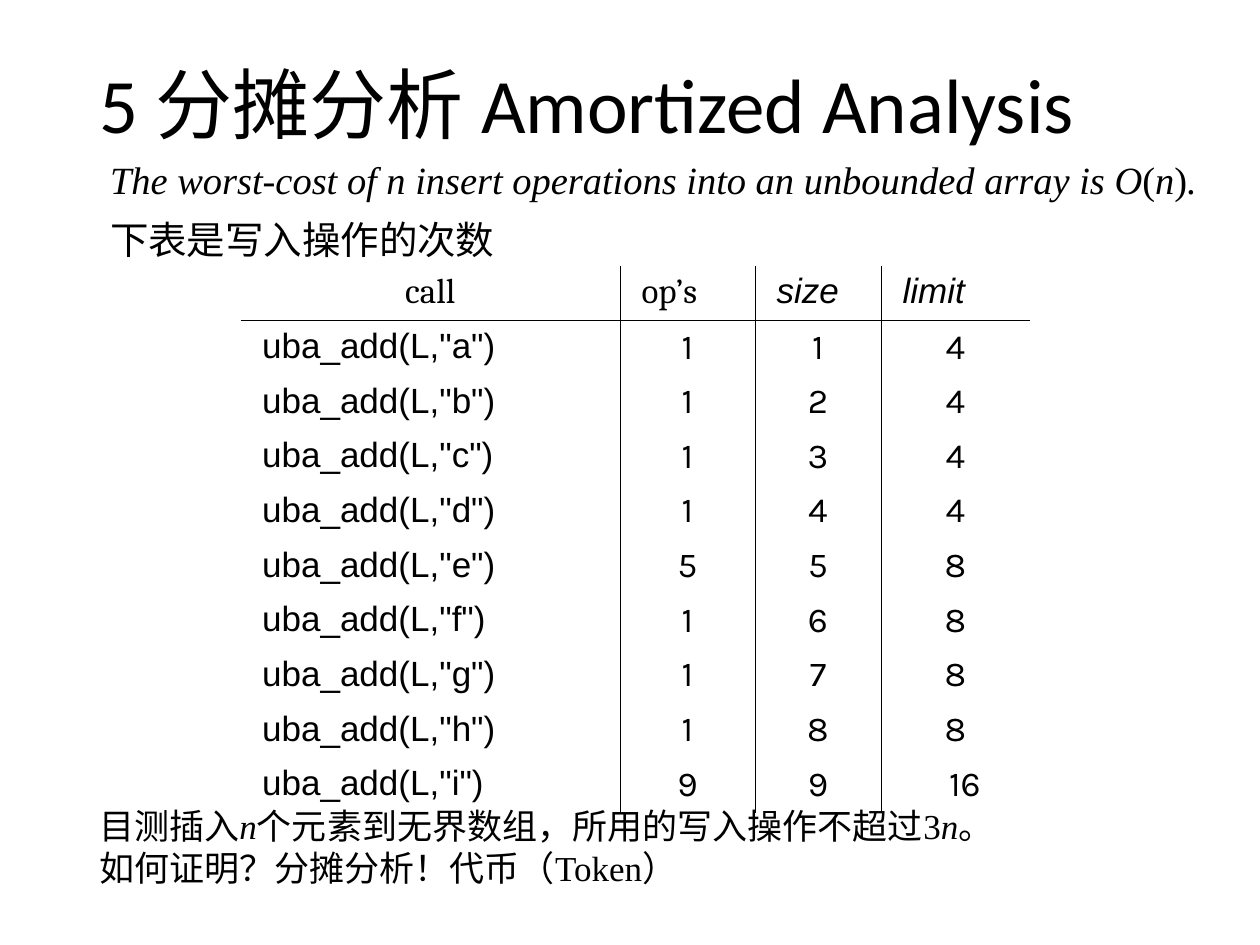
from lxml import etree
from pptx import Presentation
from pptx.dml.color import RGBColor
from pptx.enum.text import MSO_ANCHOR, PP_ALIGN
from pptx.oxml.ns import qn
from pptx.util import Cm, Pt

COLORS = {"ink": "000000", "paper": "FFFFFF"}
NO_STYLE = "{2D5ABB26-0587-4C30-8999-92F81FD0307C}"
SERIF = {"name": "Times New Roman", "size": Pt(20)}
ITALIC = {**SERIF, "italic": True}
LEAD = {"name": "Times New Roman", "size": Pt(22)}
LEAD_ITALIC = {**LEAD, "italic": True}
CAMBRIA = {"name": "Cambria", "size": Pt(20)}
ARIAL = {"name": "Arial", "size": Pt(20)}
KARLA = {"name": "Karla", "size": Pt(20)}
HEADERS = [
    ("call", CAMBRIA),
    ("op’s", CAMBRIA),
    ("size", {**ARIAL, "italic": True}),
    ("limit", {**ARIAL, "italic": True}),
]
COSTS = [("a", 1, 4), ("b", 1, 4), ("c", 1, 4), ("d", 1, 4), ("e", 5, 8),
         ("f", 1, 8), ("g", 1, 8), ("h", 1, 8), ("i", 9, 16)]


def add_run(p, text, fmt):
    """Append a run and apply its font values."""
    r = p.add_run()
    r.text = text
    for key, value in fmt.items():
        setattr(r.font, key, value)
    r.font.color.rgb = RGBColor.from_string(COLORS["ink"])


def indent(p, left):
    """Indent every line of a paragraph by the same length."""
    pPr = p._p.get_or_add_pPr()
    pPr.set("marL", str(left))
    pPr.set("indent", "0")


def add_text(s, box, paragraphs, left=0, gap=0, anchor=MSO_ANCHOR.TOP, spacing=None):
    """Place a wrapped text box holding paragraphs of formatted runs."""
    tf = s.shapes.add_textbox(*box).text_frame
    tf.word_wrap = True
    tf.vertical_anchor = anchor
    for i, runs in enumerate(paragraphs):
        p = tf.add_paragraph() if i else tf.paragraphs[0]
        indent(p, left)
        p.line_spacing = spacing
        if i:
            p.space_before = Pt(gap)
        for text, fmt in runs:
            add_run(p, text, fmt)


def add_title(s, box):
    """Place the slide title."""
    title = ("5 分摊分析 Amortized Analysis", {"name": "Calibri", "size": Pt(44)})
    add_text(s, box, [[title]], anchor=MSO_ANCHOR.MIDDLE, spacing=0.9)


def add_claim(s, box):
    """Place the cost claim and the lead-in to the table."""
    claim = [
        ("The worst-cost of n insert operations into an unbounded array is O", LEAD_ITALIC),
        ("(", LEAD), ("n", LEAD_ITALIC), (")", LEAD), (".", LEAD_ITALIC),
    ]
    lead_in = [("下表是写入操作的次数", {**LEAD, "name": "Cambria"})]
    add_text(s, box, [claim, lead_in], left=Cm(1), gap=8)


def add_conclusion(s, box):
    """Place the closing remark under the table."""
    bound = [
        ("目测插入", SERIF), ("n", ITALIC),
        ("个元素到无界数组，所用的写入操作不超过3", SERIF),
        ("n", ITALIC), ("。", SERIF),
    ]
    add_text(s, box, [bound, [("如何证明？分摊分析！代币（Token）", SERIF)]])


def set_borders(cell, drawn):
    """Draw hairlines on the named sides and clear the others."""
    tcPr = cell._tc.get_or_add_tcPr()
    for i, side in enumerate(("lnL", "lnR", "lnT", "lnB")):
        ln = etree.Element(qn(f"a:{side}"), w=str(Pt(0.17)))
        if side in drawn:
            fill = etree.SubElement(ln, qn("a:solidFill"))
            etree.SubElement(fill, qn("a:srgbClr"), val=COLORS["ink"])
        else:
            etree.SubElement(ln, qn("a:noFill"))
        tcPr.insert(i, ln)


def add_cost_table(s, box, widths, row_height):
    """Place the table of write counts for each call."""
    rows = [HEADERS]
    for size, (letter, ops, limit) in enumerate(COSTS, 1):
        call = (f'uba_add(L,"{letter}")', ARIAL)
        rows.append([call] + [(str(n), KARLA) for n in (ops, size, limit)])
    frame = s.shapes.add_table(len(rows), len(widths), *box)
    table = frame.table
    table._tbl.tblPr.find(qn("a:tableStyleId")).text = NO_STYLE
    table.first_row = table.horz_banding = False
    for column, width in zip(table.columns, widths):
        column.width = width
    for i, row in enumerate(rows):
        table.rows[i].height = row_height
        for j, (text, fmt) in enumerate(row):
            cell = table.cell(i, j)
            cell.fill.background()
            p = cell.text_frame.paragraphs[0]
            if (i == 0) == (j == 0):
                p.alignment = PP_ALIGN.CENTER
                indent(p, Cm(0.38) if len(text) == 2 else 0)
            else:
                indent(p, Cm(0.18))
            add_run(p, text, fmt)
            sides = {"lnL": j > 0, "lnR": j < len(widths) - 1,
                     "lnT": i == 1, "lnB": i == 0}
            set_borders(cell, [side for side, shown in sides.items() if shown])


def main():
    """Build the slide and save it."""
    prs = Presentation()
    prs.slide_width, prs.slide_height = Cm(25.4), Cm(19.05)
    s = prs.slides.add_slide(prs.slide_layouts[6])
    s.background.fill.solid()
    s.background.fill.fore_color.rgb = RGBColor.from_string(COLORS["paper"])
    add_title(s, (Cm(1.75), Cm(1.02), Cm(21.92), Cm(2.34)))
    add_claim(s, (Cm(0.97), Cm(3.02), Cm(23.72), Cm(2.41)))
    add_cost_table(s, (Cm(4.85), Cm(5.36), Cm(15.9), Cm(10.5)),
                   [Cm(w) for w in (7.65, 2.72, 2.54, 3)], Cm(1.05))
    add_conclusion(s, (Cm(1.75), Cm(16.1), Cm(21.92), Cm(1.96)))
    prs.save("out.pptx")


if __name__ == "__main__":
    main()
